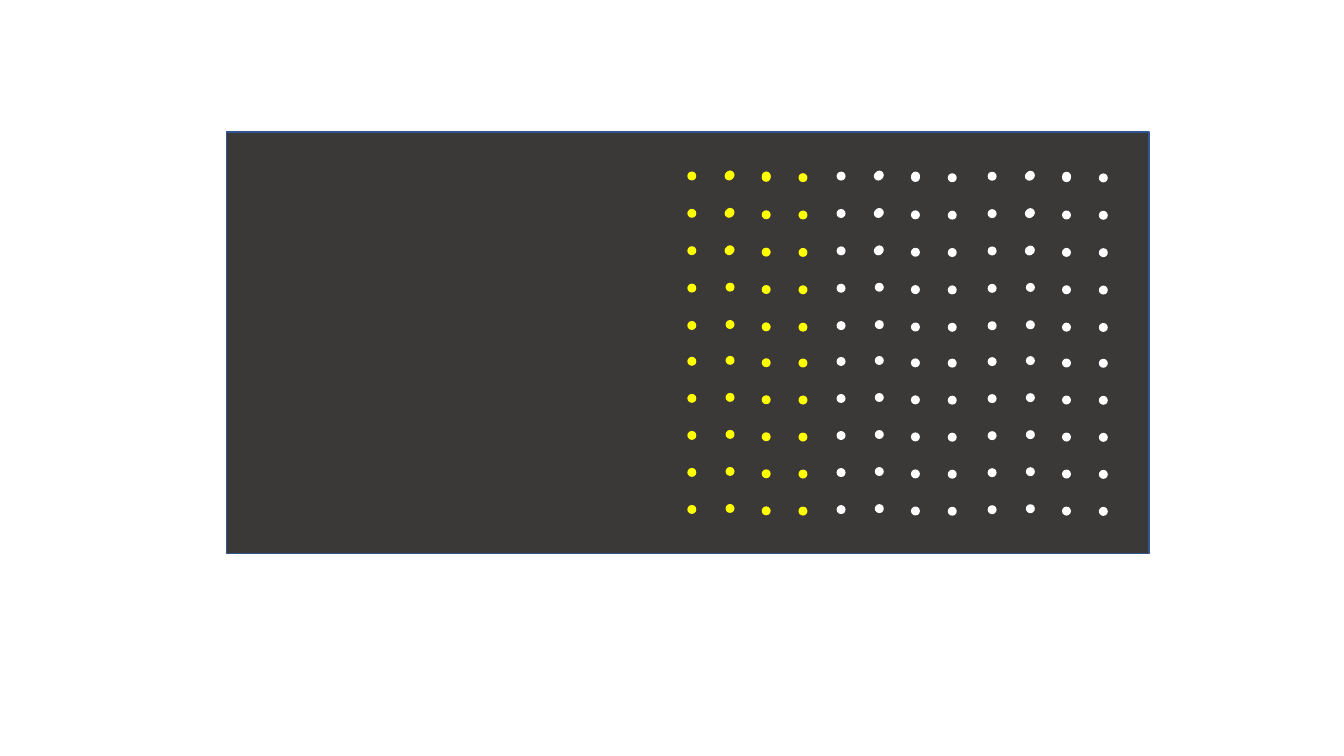
from pptx import Presentation
from pptx.dml.color import RGBColor
from pptx.enum.shapes import MSO_SHAPE
from pptx.util import Pt

CHARCOAL = RGBColor(0x3B, 0x38, 0x38)
BLUE = RGBColor(0x32, 0x54, 0x91)
YELLOW = RGBColor(0xFF, 0xFF, 0x00)
WHITE = RGBColor(0xFF, 0xFF, 0xFF)

# All lengths are in points
PANEL_BOX = (162, 94.4, 658.8, 301)
DOT_SIZE = 6.4

# Left and top of each dot block inside the panel, with its colour
DOT_BLOCKS = [
    (329, 28.1, YELLOW),
    (435.6, 28.2, WHITE),
    (543.5, 28.3, WHITE),
]

# Columns as (x, y shift); the lower five rows are set slightly closer
COLUMNS = [(0, 0), (27.3, -0.7), (53.1, 1), (79.4, 1.2)]
ROWS = [26.7 * row for row in range(5)] + [132.4 + 26.45 * row for row in range(5)]

# Single dots that overlap the main grid, as (column, row)
OVERLAP_PITCH = 26.6
OVERLAPS = [(1, 0), (2, 0), (1, 1), (1, 2)]


def add_plain_shape(page, kind, box, fill):
    left, top, width, height = box
    shape = page.shapes.add_shape(kind, Pt(left), Pt(top), Pt(width), Pt(height))
    shape.shadow.inherit = False
    shape.fill.solid()
    shape.fill.fore_color.rgb = fill
    shape.line.fill.background()
    return shape


def add_dot_block(page, left, top, colour):
    overlap_spots = [(column * OVERLAP_PITCH, ROWS[row]) for column, row in OVERLAPS]
    grid_spots = [(x, y + shift) for x, shift in COLUMNS for y in ROWS]
    for x, y in overlap_spots + grid_spots:
        dot_box = (left + x, top + y, DOT_SIZE, DOT_SIZE)
        add_plain_shape(page, MSO_SHAPE.OVAL, dot_box, colour)


def add_dot_panel(page, box):
    # Dark background panel
    panel = add_plain_shape(page, MSO_SHAPE.RECTANGLE, box, CHARCOAL)
    panel.line.color.rgb = BLUE
    panel.line.width = Pt(1)

    # Dot blocks on the right half
    left, top = box[:2]
    for x, y, colour in DOT_BLOCKS:
        add_dot_block(page, left + x, top + y, colour)


def main():
    deck = Presentation()
    deck.slide_width, deck.slide_height = Pt(960), Pt(540)
    page = deck.slides.add_slide(deck.slide_layouts[6])
    add_dot_panel(page, PANEL_BOX)
    deck.save("out.pptx")


if __name__ == "__main__":
    main()
